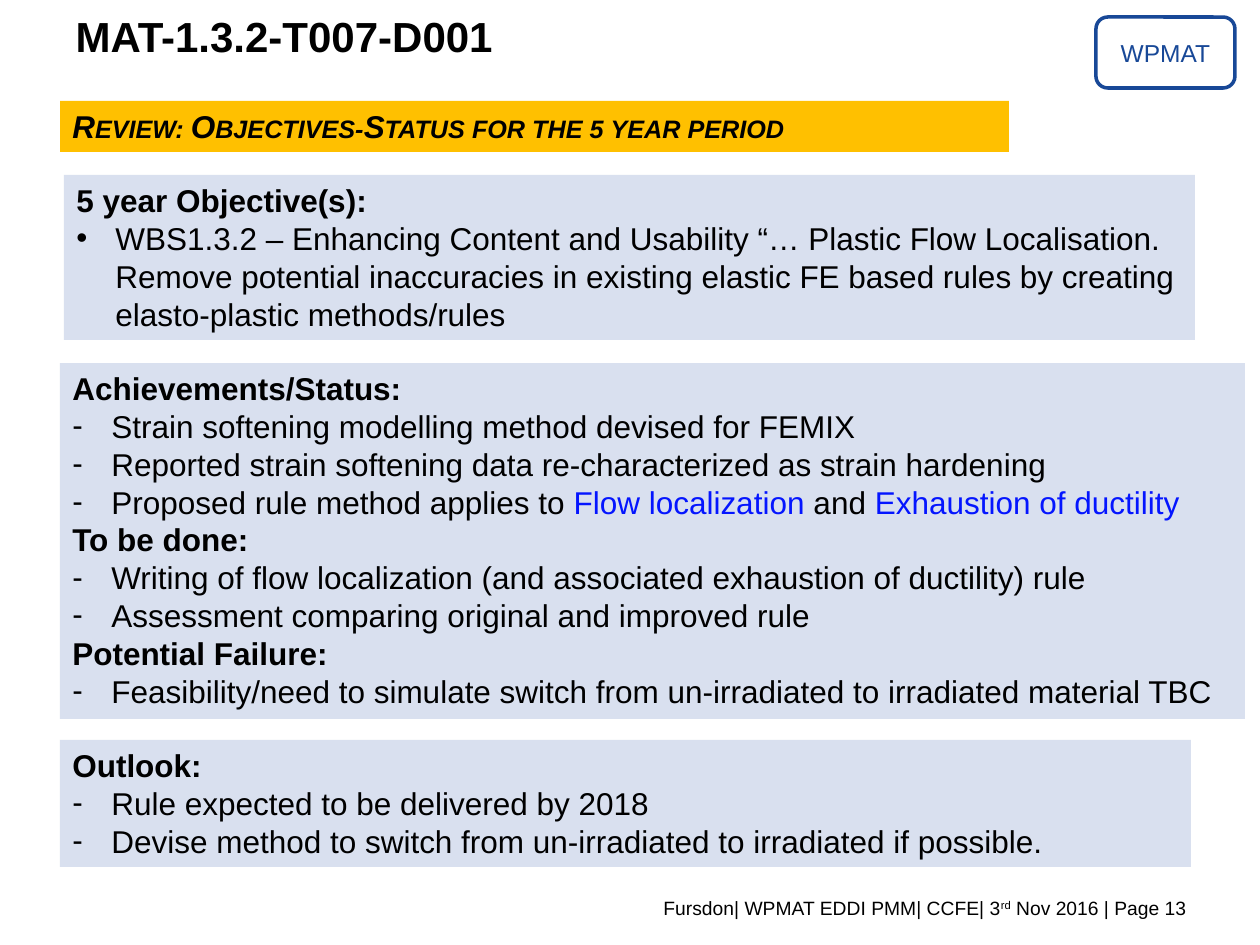
from dataclasses import dataclass

from lxml import etree
from pptx import Presentation
from pptx import util as u
from pptx.dml.color import RGBColor
from pptx.enum import shapes, text
from pptx.oxml.ns import qn

PX_PER_INCH = 126


@dataclass(frozen=True)
class Theme:
    font: str = "Arial"
    ink: str = "000000"
    accent: str = "0415FF"
    badge: str = "184897"
    banner: str = "FFC000"
    panel: str = "D9E0EF"
    title_size: int = 24
    body_size: int = 18
    badge_size: int = 14
    footer_size: int = 11


THEME = Theme()


def px(length):
    return u.Emu(round(length * u.Inches(1) / PX_PER_INCH))


def rgb(value):
    return RGBColor.from_string(value)


def add_run(paragraph, content, size=THEME.body_size, color=THEME.ink, bold=False,
            italic=False, small_caps=False, baseline=None):
    run = paragraph.add_run()
    run.text = content
    font = run.font
    font.name, font.size = THEME.font, u.Pt(size)
    font.bold, font.italic = bold, italic
    font.color.rgb = rgb(color)
    properties = run._r.get_or_add_rPr()
    if small_caps:
        properties.set("cap", "small")
    if baseline:
        properties.set("baseline", str(baseline * 1000))


def set_bullet(paragraph, character, indent=39):
    properties = paragraph._p.get_or_add_pPr()
    properties.set("marL", str(px(indent)))
    properties.set("indent", str(-px(indent)))
    font = etree.SubElement(properties, qn("a:buFont"))
    font.set("typeface", THEME.font)
    etree.SubElement(properties, qn("a:buChar")).set("char", character)


def add_box(slide, box, fill=None, line=None, preset=shapes.MSO_SHAPE.RECTANGLE,
            anchor=text.MSO_ANCHOR.TOP, align=text.PP_ALIGN.LEFT):
    shape = slide.shapes.add_shape(preset, *map(px, box))
    shape.shadow.inherit = False
    if fill:
        shape.fill.solid()
        shape.fill.fore_color.rgb = rgb(fill)
    else:
        shape.fill.background()
    if line:
        shape.line.color.rgb = rgb(line)
        shape.line.width = u.Pt(2)
    else:
        shape.line.fill.background()
    frame = shape.text_frame
    frame.word_wrap = True
    frame.vertical_anchor = anchor
    frame.paragraphs[0].alignment = align
    return frame


def add_panel(slide, box, sections, bullet="-"):
    frame = add_box(slide, box, fill=THEME.panel)
    paragraph = frame.paragraphs[0]
    for index, (heading, items) in enumerate(sections):
        if index:
            paragraph = frame.add_paragraph()
        paragraph.alignment = text.PP_ALIGN.LEFT
        add_run(paragraph, heading, bold=True)
        for item in items:
            paragraph = frame.add_paragraph()
            paragraph.alignment = text.PP_ALIGN.LEFT
            set_bullet(paragraph, bullet)
            for content, color in item:
                add_run(paragraph, content, color=color)


def plain(*items):
    return [[(item, THEME.ink)] for item in items]


def add_title(slide, content):
    title = slide.shapes.title
    title.left, title.top, title.width, title.height = map(px, (63, 4, 706, 141))
    frame = title.text_frame
    frame.vertical_anchor = text.MSO_ANCHOR.TOP
    frame.paragraphs[0].alignment = text.PP_ALIGN.LEFT
    add_run(frame.paragraphs[0], content, size=THEME.title_size, bold=True)


def add_footer(slide):
    frame = slide.shapes.add_textbox(*map(px, (64, 890, 1135, 36))).text_frame
    frame.word_wrap = True
    paragraph = frame.paragraphs[0]
    paragraph.alignment = text.PP_ALIGN.RIGHT
    for content, baseline in [("Fursdon| WPMAT EDDI PMM| CCFE| 3", None), ("rd", 30),
                              (" Nov 2016 | Page 13", None)]:
        add_run(paragraph, content, size=THEME.footer_size, baseline=baseline)


def main():
    presentation = Presentation()
    presentation.slide_width, presentation.slide_height = px(1260), px(945)
    slide = presentation.slides.add_slide(presentation.slide_layouts[5])

    badge = add_box(slide, (1096, 17, 139, 71), line=THEME.badge,
                    preset=shapes.MSO_SHAPE.ROUNDED_RECTANGLE,
                    anchor=text.MSO_ANCHOR.MIDDLE, align=text.PP_ALIGN.CENTER)
    add_run(badge.paragraphs[0], "WPMAT", size=THEME.badge_size, color=THEME.badge)
    add_footer(slide)

    add_panel(slide, (64, 175, 1131, 165), [
        ("5 year Objective(s):", plain(
            "WBS1.3.2 – Enhancing Content and Usability “… Plastic Flow Localisation. "
            "Remove potential inaccuracies in existing elastic FE based rules by creating "
            "elasto-plastic methods/rules")),
    ], bullet="•")

    banner = add_box(slide, (60, 101, 949, 51), fill=THEME.banner)
    add_run(banner.paragraphs[0], "Review: Objectives-Status for the 5 year period",
            bold=True, italic=True, small_caps=True)

    add_panel(slide, (60, 740, 1131, 127), [
        ("Outlook:", plain(
            "Rule expected to be delivered by 2018",
            "Devise method to switch from un-irradiated to irradiated if possible.")),
    ])

    rule_method = [("Proposed rule method applies to ", THEME.ink),
                   ("Flow localization ", THEME.accent),
                   ("and ", THEME.ink),
                   ("Exhaustion of ductility", THEME.accent)]
    add_panel(slide, (60, 363, 1185, 356), [
        ("Achievements/Status:", plain(
            "Strain softening modelling method devised for FEMIX",
            "Reported strain softening data re-characterized as strain hardening",
        ) + [rule_method]),
        ("To be done:", plain(
            "Writing of flow localization (and associated exhaustion of ductility) rule",
            "Assessment comparing original and improved rule")),
        ("Potential Failure:", plain(
            "Feasibility/need to simulate switch from un-irradiated to irradiated material TBC")),
    ])

    add_title(slide, "MAT-1.3.2-T007-D001")
    presentation.save("out.pptx")


if __name__ == "__main__":
    main()
